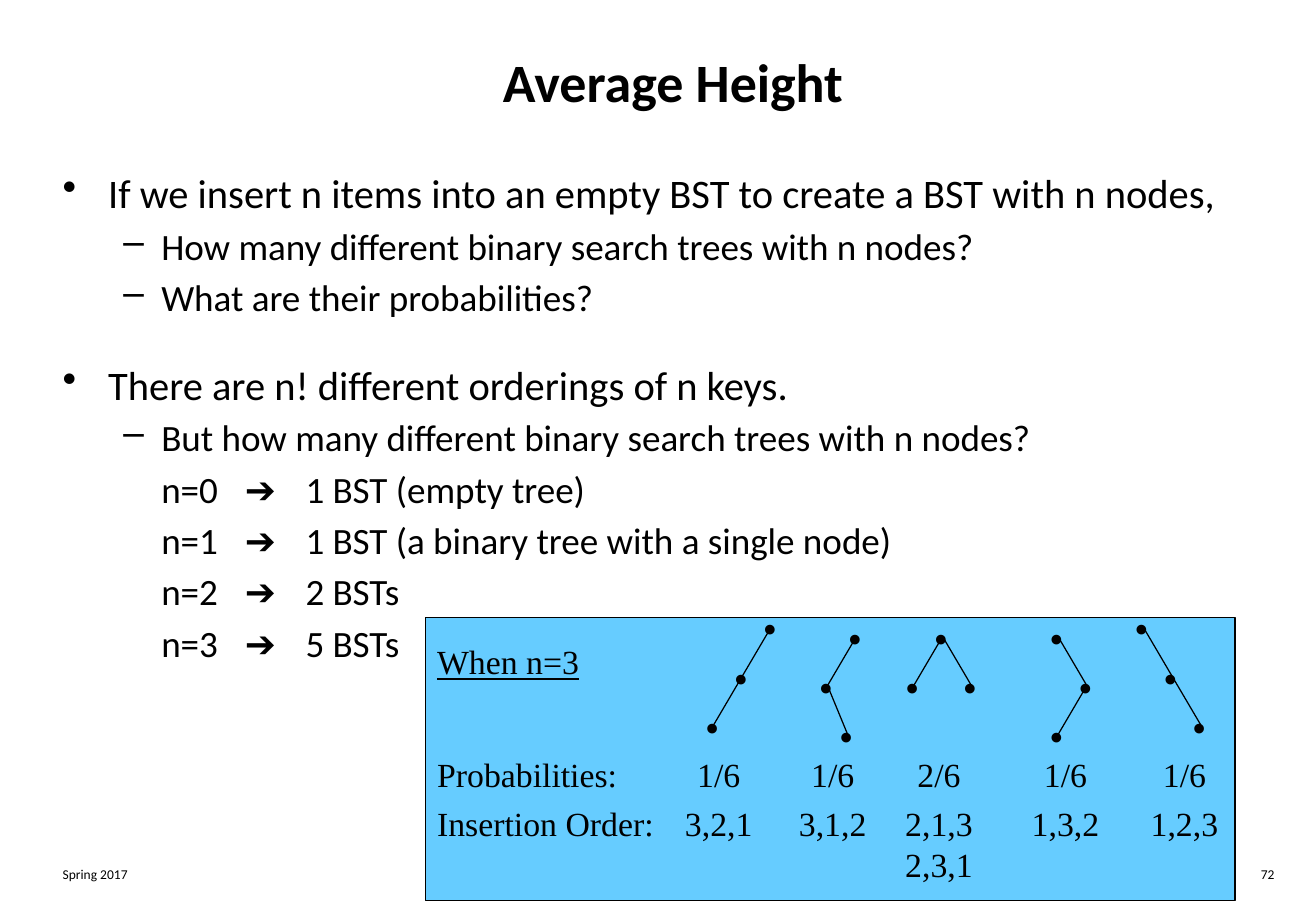
from itertools import pairwise

from lxml.etree import SubElement
from pptx import Presentation
from pptx.dml.color import RGBColor
from pptx.enum.shapes import MSO_CONNECTOR, MSO_SHAPE
from pptx.enum.text import MSO_ANCHOR, PP_ALIGN
from pptx.oxml.ns import qn
from pptx.util import Pt

BLACK = RGBColor(0x00, 0x00, 0x00)
SKY = RGBColor(0x66, 0xCC, 0xFF)
SANS = "Calibri"
SERIF = "Times New Roman"

# Bullet, left margin, first-line indent and text size of each outline level
TOPIC = ("•", 27, -27, 24)
DETAIL = ("–", 58.5, -22.5, 22)
CASE = (None, 0, 58.5, 22)
CASE_TABS = [("l", 102.5), ("l", 130.5)]

OUTLINE = [
    (TOPIC, 4, "If we insert n items into an empty BST to create a BST with n nodes,"),
    (DETAIL, 4, "How many different binary search trees with n nodes?"),
    (DETAIL, 4, "What are their probabilities?"),
    (TOPIC, 24, "There are n! different orderings of n keys."),
    (DETAIL, 4, "But how many different binary search trees with n nodes?"),
    (CASE, 4, "n=0\t➔\t1 BST (empty tree)"),
    (CASE, 4, "n=1\t➔\t1 BST (a binary tree with a single node)"),
    (CASE, 4, "n=2\t➔\t2 BSTs"),
    (CASE, 4, "n=3\t➔\t5 BSTs"),
]

# Root position of each tree and its nodes in steps from the root,
# listed so that neighbours in the list are joined
STEP_X, STEP_Y = 17.1, 29.1
TREES = [
    (457.2, 371.5, [(0, 0), (-1, 1), (-2, 2)]),
    (507.6, 377.3, [(0, 0), (-1, 1), (-0.3, 2)]),
    (558.7, 377.3, [(-1, 1), (0, 0), (1, 1)]),
    (627.1, 377.3, [(0, 0), (1, 1), (0, 2)]),
    (677.5, 371.5, [(0, 0), (1, 1), (2, 2)]),
]
TREE_TABS = [("ctr", x) for x in (167, 234.5, 297.5, 372.5, 443)]


class SlideWriter:
    def __init__(self, page):
        self.page = page

    def text_box(self, left, top, width, height, wrap=True, anchor=MSO_ANCHOR.TOP):
        box = self.page.shapes.add_textbox(Pt(left), Pt(top), Pt(width), Pt(height))
        box.text_frame.word_wrap = wrap
        box.text_frame.vertical_anchor = anchor
        return box.text_frame

    def span(self, para, text, size, font=SANS, bold=False, underline=False):
        span = para.add_run()
        span.text = text
        span.font.size = Pt(size)
        span.font.name = font
        span.font.bold = bold
        span.font.underline = underline
        span.font.color.rgb = BLACK

    def label(self, area, text, size, font=SANS, align=PP_ALIGN.LEFT, wrap=True,
              anchor=MSO_ANCHOR.TOP, **look):
        para = self.text_box(*area, wrap, anchor).paragraphs[0]
        para.alignment = align
        self.span(para, text, size, font, **look)

    def tab_stops(self, para, stops):
        tab_list = SubElement(para._p.get_or_add_pPr(), qn("a:tabLst"))
        for align, position in stops:
            SubElement(tab_list, qn("a:tab"), pos=str(Pt(position)), algn=align)

    def outline(self, area, items):
        frame = self.text_box(*area)
        for index, (style, gap, text) in enumerate(items):
            bullet, margin, indent, size = style
            para = frame.add_paragraph() if index else frame.paragraphs[0]
            para.space_before = Pt(gap)
            properties = para._p.get_or_add_pPr()
            properties.set("marL", str(Pt(margin)))
            properties.set("indent", str(Pt(indent)))
            if bullet:
                SubElement(properties, qn("a:buChar"), char=bullet)
            else:
                self.tab_stops(para, CASE_TABS)
            self.span(para, text, size)

    def tabbed_rows(self, area, rows):
        frame = self.text_box(*area)
        for index, row in enumerate(rows):
            para = frame.add_paragraph() if index else frame.paragraphs[0]
            self.tab_stops(para, TREE_TABS)
            self.span(para, "\t".join(row), 20, SERIF)

    def panel(self, left, top, width, height):
        box = self.page.shapes.add_shape(
            MSO_SHAPE.RECTANGLE, Pt(left), Pt(top), Pt(width), Pt(height))
        box.shadow.inherit = False
        box.fill.solid()
        box.fill.fore_color.rgb = SKY
        box.line.color.rgb = BLACK
        box.line.width = Pt(0.75)

    def edge(self, start, end):
        line = self.page.shapes.add_connector(
            MSO_CONNECTOR.STRAIGHT, *(Pt(value) for value in (*start, *end)))
        line.line.color.rgb = BLACK
        line.line.width = Pt(0.75)
        SubElement(line._element.spPr, qn("a:effectLst"))

    def tree(self, root_x, root_y, steps):
        nodes = [(root_x + x * STEP_X, root_y + y * STEP_Y) for x, y in steps]
        for start, end in pairwise(nodes):
            self.edge(start, end)
        for x, y in nodes:
            self.label((x - 12.2, y - 17.3, 25.2, 36), "•", 24, SERIF, wrap=False)


def main():
    deck = Presentation()
    deck.slide_width, deck.slide_height = Pt(780), Pt(540)
    writer = SlideWriter(deck.slides.add_slide(deck.slide_layouts[6]))

    writer.label((30, 12, 738, 72), "Average Height", 32, align=PP_ALIGN.CENTER,
                 anchor=MSO_ANCHOR.MIDDLE, bold=True)
    writer.outline((30, 96, 732, 354), OUTLINE)
    writer.label((30, 510, 162.5, 18), "Spring 2017", 8)
    writer.label((600, 510, 162.5, 18), "72", 8, align=PP_ALIGN.RIGHT)

    writer.panel(252, 366, 480, 168)
    for root_x, root_y, steps in TREES:
        writer.tree(root_x, root_y, steps)
    writer.label((252, 376.5, 99.5, 31.5), "When n=3", 20, SERIF, wrap=False,
                 underline=True)
    writer.tabbed_rows((252, 443, 487, 31.5), [
        ["Probabilities:", "1/6", "1/6", "2/6", "1/6", "1/6"],
    ])
    writer.tabbed_rows((252, 472.5, 487, 55.5), [
        ["Insertion Order:", "3,2,1", "3,1,2", "2,1,3", "1,3,2", "1,2,3"],
        ["", "", "", "2,3,1"],
    ])
    deck.save("out.pptx")


if __name__ == "__main__":
    main()
